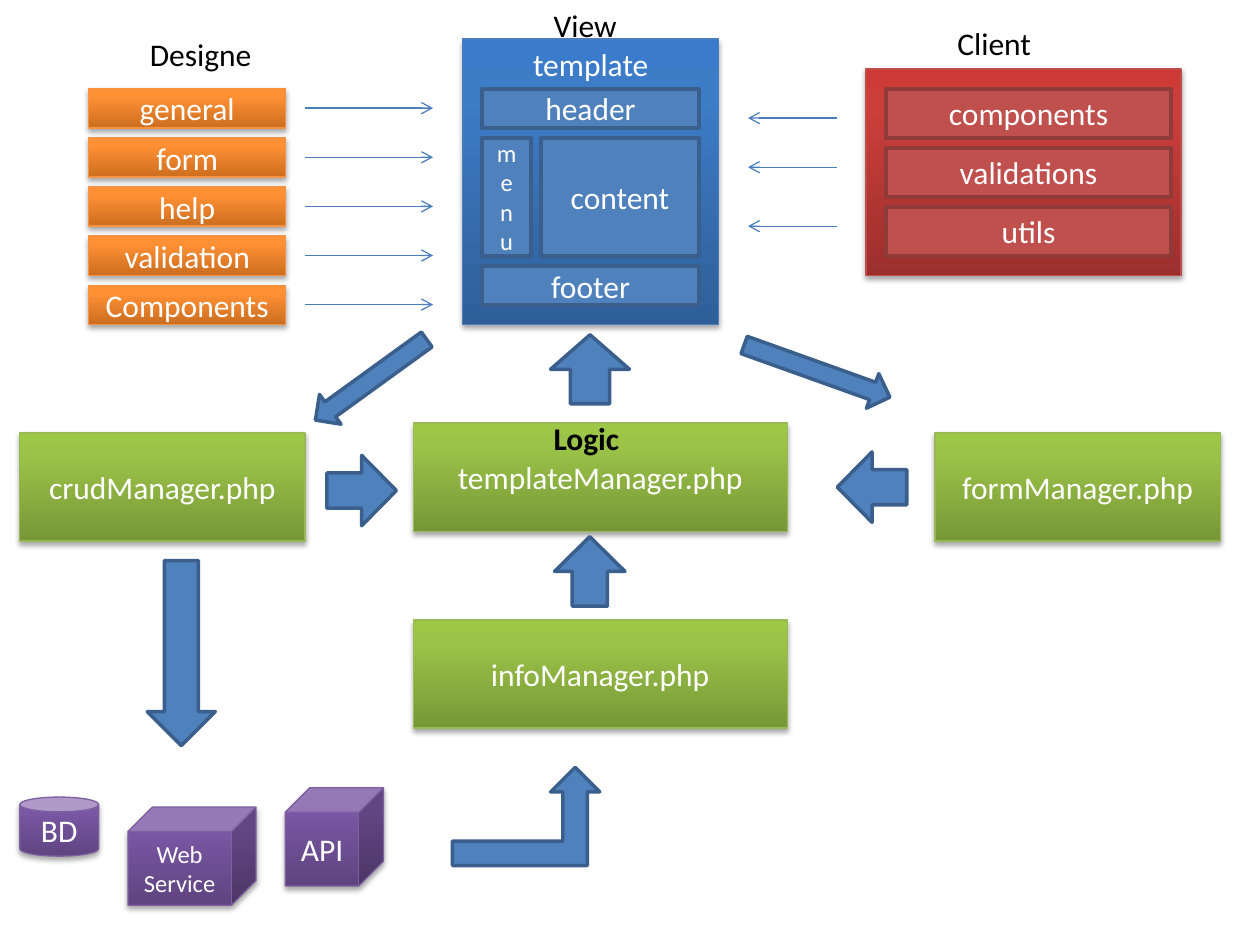
"""Draw the layer map of a PHP template system."""
import copy
from typing import NamedTuple

import pptx
import pptx.dml.color
import pptx.enum.shapes
import pptx.enum.text
import pptx.oxml.ns
import pptx.util
from lxml import etree

Cm = pptx.util.Cm
Kind = pptx.enum.shapes.MSO_SHAPE
Anchor = pptx.enum.text.MSO_ANCHOR
qn = pptx.oxml.ns.qn


class Look(NamedTuple):
    fills: tuple[str, ...]
    edge: str
    width: float = 0.75


class Box(NamedTuple):
    text: str
    look: Look
    left: float
    top: float
    width: float
    height: float
    kind: Kind = Kind.RECTANGLE
    size: int = 18
    anchor: Anchor = Anchor.MIDDLE
    turn: float = 0


ORANGE = Look(("CC6E20", "FF9034", "FF9136"), "F69240")
BLUE = Look(("2F5F99", "3D7CC7", "3A7CCB"), "4B7EBC")
RED = Look(("9C2F2D", "CB3E3A", "CE3B37"), "BF4C48")
GREEN = Look(("779737", "9BC348", "9DC746"), "98B955")
PURPLE = Look(("5F4480", "7B58A6", "7C57A8"), "7D60A0")
FLAT_BLUE = Look(("4F81BD",), "3A5F8C", 2)
FLAT_RED = Look(("C0504D",), "8E3B39", 2)

TOP = 1.79
STEP = 0.99
STYLES = ["general", "form", "help", "validation", "Components"]
SCRIPTS = ["components", "validations", "utils"]
FLOW = Kind.FLOWCHART_PROCESS
UP = Kind.UP_ARROW

BOXES = [
    *(Box(name, ORANGE, 1.79, TOP + i * STEP, 3.97, 0.79)
      for i, name in enumerate(STYLES)),
    Box("template", BLUE, 9.33, 0.79, 5.16, 5.75, anchor=Anchor.TOP),
    Box("header", FLAT_BLUE, 9.72, TOP, 4.37, 0.79, FLOW),
    Box("menu", FLAT_BLUE, 9.72, 2.78, 0.99, 2.38, FLOW, 14),
    Box("content", FLAT_BLUE, 10.91, 2.78, 3.18, 2.38, FLOW),
    Box("footer", FLAT_BLUE, 9.72, 5.36, 4.37, 0.79, FLOW),
    Box("", RED, 17.46, 1.39, 6.35, 4.17),
    *(Box(name, FLAT_RED, 17.86, TOP + i * 1.19, 5.75, 0.99)
      for i, name in enumerate(SCRIPTS)),
    Box("crudManager.php", GREEN, 0.4, 8.73, 5.75, 2.18),
    Box("templateManager.php", GREEN, 8.33, 8.53, 7.54, 2.18),
    Box("formManager.php", GREEN, 18.85, 8.73, 5.75, 2.18),
    Box("infoManager.php", GREEN, 8.33, 12.5, 7.54, 2.18),
    Box("BD", PURPLE, 0.4, 16.07, 1.59, 1.19, Kind.CAN),
    Box("Web\nService", PURPLE, 2.58, 16.27, 2.58, 1.98, Kind.CUBE, 14),
    Box("API", PURPLE, 5.75, 15.88, 1.98, 1.98, Kind.CUBE),
    Box("", FLAT_BLUE, 11.1, 6.75, 1.59, 1.39, UP),
    Box("", FLAT_BLUE, 11.18, 10.82, 1.42, 1.4, UP),
    Box("", FLAT_BLUE, 16.1, 5.92, 0.74, 3.12, UP, turn=109.7),
    Box("", FLAT_BLUE, 7.11, 6.27, 0.74, 2.77, UP, turn=234.1),
    Box("", FLAT_BLUE, 16.87, 9.12, 1.42, 1.4, UP, turn=270),
    Box("", FLAT_BLUE, 6.58, 9.19, 1.42, 1.4, UP, turn=90),
    Box("", FLAT_BLUE, 2.97, 11.3, 1.37, 3.73, UP, turn=180),
    Box("", FLAT_BLUE, 9.12, 15.47, 2.97, 1.98, Kind.BENT_UP_ARROW),
]


def rgb(code: str) -> pptx.dml.color.RGBColor:
    return pptx.dml.color.RGBColor.from_string(code)


def write(frame, text: str, *, size: int = 18, color: str = "000000",
          bold: bool = False, align: str = "LEFT", wrap: bool = True,
          anchor: Anchor = Anchor.TOP) -> None:
    frame.word_wrap = wrap
    frame.vertical_anchor = anchor
    line = frame.paragraphs[0]
    line.text = text
    line.alignment = pptx.enum.text.PP_ALIGN[align]
    for run in line.runs:
        font = run.font
        font.name, font.size, font.bold = "Calibri", pptx.util.Pt(size), bold
        font.color.rgb = rgb(color)


def shade(shape, codes: tuple[str, ...]) -> None:
    fill = shape.fill
    fill.gradient()
    fill.gradient_angle = 90
    stops = shape._element.spPr.find(".//" + qn("a:gsLst"))
    stops.append(copy.deepcopy(stops[-1]))
    for stop, code, place in zip(fill.gradient_stops, codes, (0, 0.8, 1)):
        stop.position = place
        stop.color.rgb = rgb(code)
    glow = shape._element.spPr.find(qn("a:effectLst"))
    cast = etree.SubElement(glow, qn("a:outerShdw"), blurRad="40000",
                            dist="23000", dir="5400000", rotWithShape="0")
    tint = etree.SubElement(cast, qn("a:srgbClr"), val="000000")
    etree.SubElement(tint, qn("a:alpha"), val="35000")


def draw(slide, box: Box) -> None:
    place = map(Cm, (box.left, box.top, box.width, box.height))
    shape = slide.shapes.add_shape(box.kind, *place)
    shape.rotation = box.turn
    shape.shadow.inherit = False
    if len(box.look.fills) > 1:
        shade(shape, box.look.fills)
    else:
        shape.fill.solid()
        shape.fill.fore_color.rgb = rgb(box.look.fills[0])
    shape.line.color.rgb = rgb(box.look.edge)
    shape.line.width = pptx.util.Pt(box.look.width)
    if box.text:
        write(shape.text_frame, box.text, size=box.size, color="FFFFFF",
              align="CENTER", anchor=box.anchor)


def point(slide, start: float, end: float, level: float) -> None:
    kind = pptx.enum.shapes.MSO_CONNECTOR.STRAIGHT
    line = slide.shapes.add_connector(kind, Cm(start), Cm(level), Cm(end), Cm(level))
    line.line.color.rgb = rgb("4B7EBC")
    line.line.width = pptx.util.Pt(0.75)
    etree.SubElement(line.line._get_or_add_ln(), qn("a:tailEnd"), type="arrow")
    etree.SubElement(line._element.spPr, qn("a:effectLst"))


def label(slide, text: str, left: float, top: float, width: float,
          bold: bool = False) -> None:
    box = slide.shapes.add_textbox(Cm(left), Cm(top), Cm(width), Cm(1.02))
    write(box.text_frame, text, bold=bold, wrap=bold)
    box.text_frame.auto_size = pptx.enum.text.MSO_AUTO_SIZE.SHAPE_TO_FIT_TEXT


def main() -> None:
    deck = pptx.Presentation()
    deck.slide_width, deck.slide_height = Cm(25.4), Cm(19.05)
    slide = deck.slides.add_slide(deck.slide_layouts[6])
    for box in BOXES:
        draw(slide, box)
    for i in range(len(STYLES)):
        point(slide, 6.15, 8.73, 2.18 + i * STEP)
    for level in (2.38, 3.37, 4.56):
        point(slide, 16.87, 15.08, level)
    label(slide, "Designe", 2.77, 0.58, 2.58)
    label(slide, "View", 10.91, 0, 1.8)
    label(slide, "Client", 19.05, 0.36, 2)
    label(slide, "Logic", 10.91, 8.33, 2.58, bold=True)
    deck.save("out.pptx")


if __name__ == "__main__":
    main()
